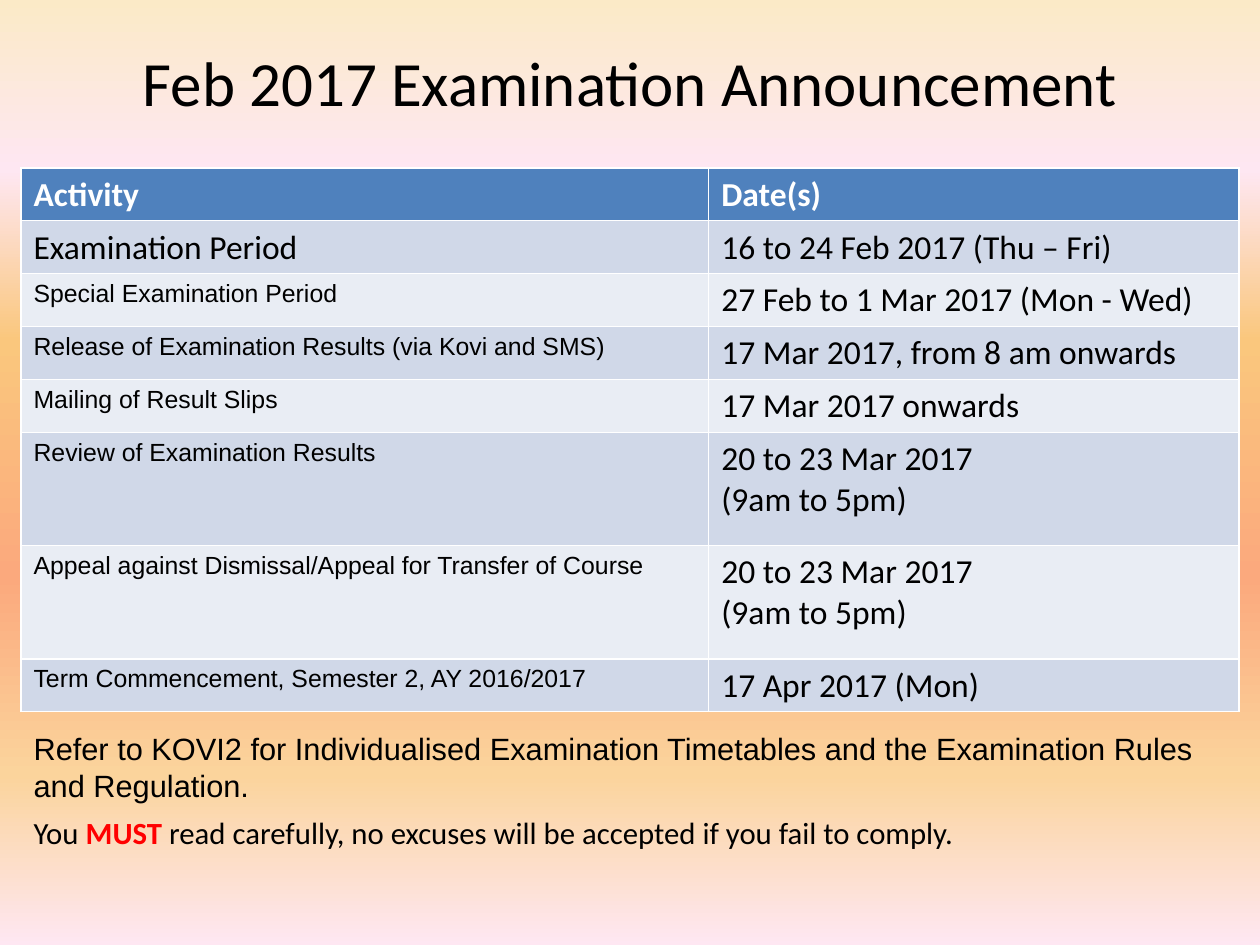
from lxml.etree import SubElement as Sub
from pptx import Presentation
from pptx.dml.color import RGBColor
from pptx.enum.text import MSO_ANCHOR as Anchor, PP_ALIGN as Align
from pptx.oxml.ns import qn
from pptx.util import Inches, Pt

# Content
TITLE = "Feb 2017 Examination Announcement"
HEAD = ("Activity", "Date(s)")
ROWS = [
    ("Examination Period", "16 to 24 Feb 2017 (Thu – Fri)"),
    ("Special Examination Period", "27 Feb to 1 Mar 2017 (Mon - Wed)"),
    ("Release of Examination Results (via Kovi and SMS)",
     "17 Mar 2017, from 8 am onwards"),
    ("Mailing of Result Slips", "17 Mar 2017 onwards"),
    ("Review of Examination Results", "20 to 23 Mar 2017\n(9am to 5pm)"),
    ("Appeal against Dismissal/Appeal for Transfer of Course",
     "20 to 23 Mar 2017\n(9am to 5pm)"),
    ("Term Commencement, Semester 2, AY 2016/2017", "17 Apr 2017 (Mon)"),
]
REFER = ("Refer to KOVI2 for Individualised Examination Timetables "
         "and the Examination Rules and Regulation.")
WARN = [("You ", {}), ("MUST ", {"color": "FF0000", "bold": True}),
        ("read carefully, no excuses will be accepted if you fail to comply.", {})]

# Look
STOPS = [(0, "FBEAC7"), (18, "FEE7F2"), (36, "FAC77D"),
         (61, "FBA97D"), (82, "FBD49C"), (100, "FEE7F2")]
BLUE, BANDS, WHITE = "4F81BD", ("D0D8E8", "E9EDF4"), "FFFFFF"
WIDE, HIGH, EDGE = 12, 9, 0.2
COLS = (6.55, 5.05)
LOW, TALL = 0.5, 1.08
PAD_X, PAD_Y = Inches(0.12), Inches(0.06)


def rgb(code):
    return RGBColor.from_string(code)


def write(para, text, size=23, font="Calibri", color="000000", bold=False):
    for i, line in enumerate(text.split("\n")):
        if i:
            para.add_line_break()
        run = para.add_run()
        run.text = line
        run.font.size, run.font.name = Pt(size), font
        run.font.bold = bold
        run.font.color.rgb = rgb(color)


def pad(part):
    part.margin_left = part.margin_right = PAD_X
    part.margin_top = part.margin_bottom = PAD_Y


def add_box(slide, *area):
    frame = slide.shapes.add_textbox(*map(Inches, area)).text_frame
    frame.word_wrap = True
    frame.vertical_anchor = Anchor.MIDDLE
    pad(frame)
    return frame


def edge(cell):
    props = cell._tc.get_or_add_tcPr()
    for i, side in enumerate("LRTB"):
        line = Sub(props, qn("a:ln" + side), w=str(Pt(1)))
        Sub(Sub(line, qn("a:solidFill")), qn("a:srgbClr"), val=WHITE)
        props.insert(i, line)


def paint(slide):
    fill = slide.background.fill
    fill.gradient()
    fill.gradient_angle = 270
    stops = slide.background._cSld.find(".//" + qn("a:gsLst"))
    for old in list(stops):
        stops.remove(old)
    for share, code in STOPS:
        stop = Sub(stops, qn("a:gs"), pos=str(share * 1000))
        Sub(stop, qn("a:srgbClr"), val=code)


def add_dates(slide):
    rows = [HEAD] + ROWS
    highs = [TALL if "\n" in row[1] else LOW for row in rows]
    table = slide.shapes.add_table(
        len(rows), len(COLS), Inches(EDGE), Inches(1.6),
        Inches(sum(COLS)), Inches(sum(highs))).table
    for col, width in zip(table.columns, COLS):
        col.width = Inches(width)
    for r, row in enumerate(rows):
        table.rows[r].height = Inches(highs[r])
        for c, text in enumerate(row):
            cell = table.cell(r, c)
            pad(cell)
            cell.fill.solid()
            cell.fill.fore_color.rgb = rgb(BANDS[(r - 1) % 2] if r else BLUE)
            edge(cell)
            if r == 0:
                style = {"color": WHITE, "bold": True}
            elif c == 0 and r > 1:
                style = {"size": 17, "font": "Arial"}
            else:
                style = {}
            write(cell.text_frame.paragraphs[0], text, **style)


def main():
    deck = Presentation()
    deck.slide_width, deck.slide_height = Inches(WIDE), Inches(HIGH)
    slide = deck.slides.add_slide(deck.slide_layouts[6])
    paint(slide)

    # Title
    para = add_box(slide, EDGE, 0.4, WIDE - 2 * EDGE, 0.75).paragraphs[0]
    para.alignment = Align.CENTER
    write(para, TITLE, size=43.2)

    # Closing notes
    notes = add_box(slide, EDGE, 6.5, WIDE - EDGE, 2.05)
    write(notes.paragraphs[0], REFER, size=21.1, font="Arial")
    para = notes.add_paragraph()
    para.space_before = Pt(7.2)
    for text, style in WARN:
        write(para, text, size=21.1, **style)

    # Table of dates
    add_dates(slide)
    deck.save("out.pptx")


if __name__ == "__main__":
    main()
